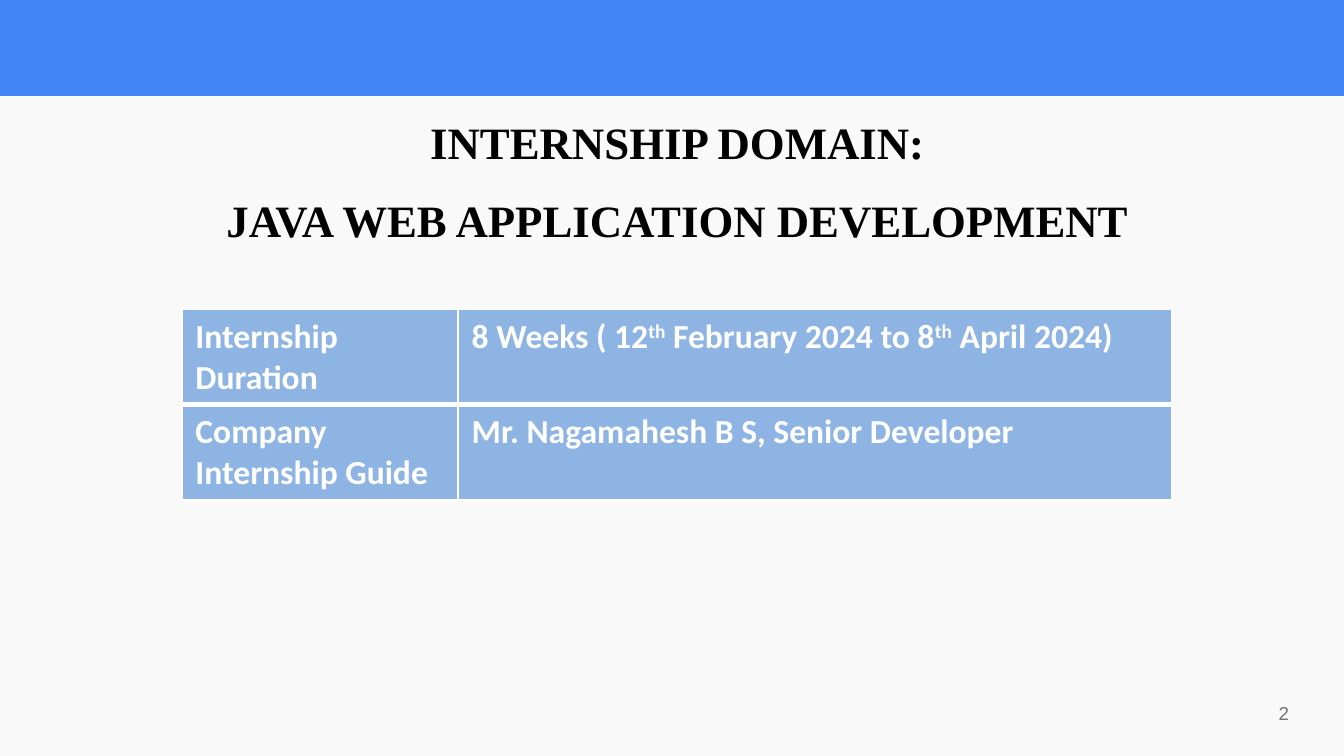
from dataclasses import dataclass

from lxml.etree import SubElement
from pptx import Presentation
from pptx.dml.color import RGBColor as Color
from pptx.enum.shapes import MSO_SHAPE as Shape
from pptx.enum.text import MSO_ANCHOR as Anchor, PP_ALIGN as Align
from pptx.oxml.ns import qn
from pptx.util import Pt


@dataclass(frozen=True)
class Theme:
    """Colours, fonts and type sizes of the deck."""

    banner: str = "4285F4"
    panel: str = "F9F9F9"
    cell: str = "8EB4E3"
    white: str = "FFFFFF"
    title: str = "000000"
    number: str = "727272"
    title_font: str = "Times New Roman"
    table_font: str = "Calibri"
    number_font: str = "Arial"
    title_size: int = 24
    table_size: int = 18
    number_size: int = 10


class SlideBuilder:
    """Draws styled elements on the current slide."""

    def __init__(self, slide, theme):
        self.slide = slide
        self.theme = theme

    def style(self, para, name, size, color, bold=False):
        for span in para.runs:
            font = span.font
            font.name, font.size, font.bold = name, Pt(size), bold
            font.color.rgb = Color.from_string(color)

    def clear_insets(self, frame):
        frame.margin_left = frame.margin_top = 0
        frame.margin_right = frame.margin_bottom = 0

    def panel(self, left, top, width, height, color):
        box = self.slide.shapes.add_shape(
            Shape.RECTANGLE, Pt(left), Pt(top), Pt(width), Pt(height))
        box.shadow.inherit = False
        box.fill.solid()
        box.fill.fore_color.rgb = Color.from_string(color)
        box.line.fill.background()
        return box

    def title(self, left, top, width, height, lines):
        theme = self.theme
        frame = self.panel(left, top, width, height, theme.panel).text_frame
        self.clear_insets(frame)
        frame.margin_top = Pt(3)
        frame.word_wrap = True
        frame.vertical_anchor = Anchor.TOP
        frame.text = "\n".join(lines)
        for index, para in enumerate(frame.paragraphs):
            para.alignment = Align.CENTER
            if index:
                para.space_before = Pt(13)
            self.style(para, theme.title_font, theme.title_size, theme.title, True)

    def page_number(self, left, top, width, height, number):
        theme = self.theme
        box = self.slide.shapes.add_textbox(Pt(left), Pt(top), Pt(width), Pt(height))
        frame = box.text_frame
        self.clear_insets(frame)
        frame.margin_left = Pt(1)
        frame.word_wrap = True
        frame.text = str(number)
        self.style(frame.paragraphs[0], theme.number_font, theme.number_size, theme.number)

    def border(self, cell, side, width):
        line = SubElement(cell._tc.get_or_add_tcPr(), qn(f"a:ln{side}"), w=str(Pt(width)))
        fill = SubElement(line, qn("a:solidFill"))
        SubElement(fill, qn("a:srgbClr"), val=self.theme.white)

    def cell(self, cell, text, widths):
        theme = self.theme
        for side, width in widths.items():
            self.border(cell, side, width)
        cell.fill.solid()
        cell.fill.fore_color.rgb = Color.from_string(theme.cell)
        para = cell.text_frame.paragraphs[0]
        for index, part in enumerate(text.split("^")):
            span = para.add_run()
            span.text = part
            if index % 2:
                span.font._element.set("baseline", "30000")
        self.style(para, theme.table_font, theme.table_size, theme.white, True)

    def table(self, left, top, column_widths, row_height, rows):
        table = self.slide.shapes.add_table(
            len(rows), len(column_widths), Pt(left), Pt(top),
            Pt(sum(column_widths)), Pt(row_height * len(rows))).table
        table.first_row = table.horz_banding = False
        for column, width in zip(table.columns, column_widths):
            column.width = Pt(width)
        last = len(rows) - 1
        for r, texts in enumerate(rows):
            table.rows[r].height = Pt(row_height)
            widths = {"L": 1, "R": 1, "T": 3 if r else 1, "B": 3 if r < last else 1}
            for c, text in enumerate(texts):
                self.cell(table.cell(r, c), text, widths)


def main():
    theme = Theme()
    deck = Presentation()
    deck.slide_width, deck.slide_height = Pt(720), Pt(405)
    page = SlideBuilder(deck.slides.add_slide(deck.slide_layouts[6]), theme)
    banner_height = 51.5
    page.panel(0, 0, 720, banner_height, theme.banner)
    page.panel(0, banner_height, 720, 405 - banner_height, theme.panel)
    page.title(28.8, 58.5, 668, 315,
               ["INTERNSHIP DOMAIN:", "JAVA WEB APPLICATION DEVELOPMENT"])
    page.page_number(684, 376, 26, 16.5, 2)
    page.table(97.5, 165.75, [148, 382], 51, [
        ["Internship Duration", "8 Weeks ( 12^th^ February 2024 to 8^th^ April 2024)"],
        ["Company Internship Guide", "Mr. Nagamahesh B S, Senior Developer"],
    ])
    deck.save("out.pptx")


if __name__ == "__main__":
    main()
